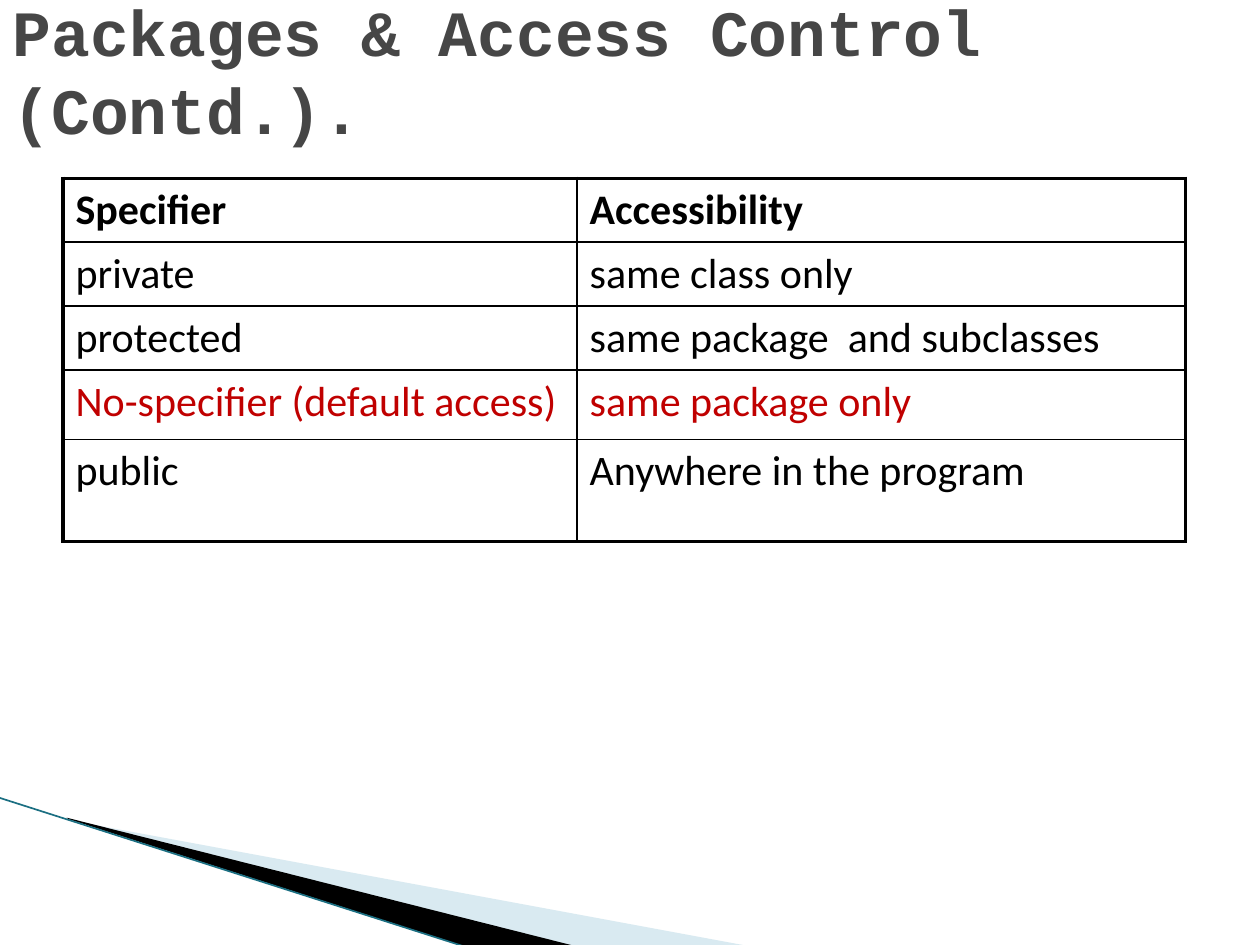
from dataclasses import dataclass

from lxml import etree
from pptx import Presentation
from pptx import util as u
from pptx.dml.color import RGBColor
from pptx.enum import shapes, text
from pptx.oxml.ns import qn


@dataclass(frozen=True)
class Theme:
    title_font: str = "Courier New"
    body_font: str = "Calibri"
    title_size: float = 36.9
    body_size: float = 24
    title_color: str = "464646"
    ink: str = "000000"
    highlight: str = "C00000"
    pale_wedge: str = "A0CBDC"
    edge: str = "1B6F82"
    thick: float = 2.25
    thin: float = 1


THEME = Theme()
HEADERS = ("Specifier", "Accessibility")
ACCESS_RULES = [
    ("private", "same class only"),
    ("protected", "same package  and subclasses"),
    ("No-specifier (default access)", "same package only"),
    ("public", "Anywhere in the program"),
]
HIGHLIGHTED_ROW = 3
COLUMN_WIDTHS = (4.08, 4.83)
ROW_HEIGHTS = (0.5, 0.5, 0.5, 0.55, 0.81)


def style_font(font, name, size, color, bold=False):
    font.name = name
    font.size = u.Pt(size)
    font.bold = bold
    font.color.rgb = RGBColor.from_string(color)


def add_wedge(slide, points, color, opacity=None):
    builder = slide.shapes.build_freeform(*points[0])
    builder.add_line_segments(points[1:], close=True)
    shape = builder.convert_to_shape()
    shape.shadow.inherit = False
    shape.line.fill.background()
    shape.fill.solid()
    shape.fill.fore_color.rgb = RGBColor.from_string(color)
    if opacity is not None:
        color_element = shape.fill._xPr.find(qn("a:solidFill"))[0]
        etree.SubElement(color_element, qn("a:alpha"), val=str(opacity * 1000))


def add_corner_decoration(slide, left, top):
    """Two wedges and an edge line fanning out from the left side."""
    def place(*offsets):
        return [(u.Inches(left + x), u.Inches(top + y)) for x, y in offsets]

    add_wedge(slide, place((0.55, 0.18), (5.95, 1.18), (4.56, 1.18), (0.55, 0.17)),
              THEME.pale_wedge, opacity=40)
    add_wedge(slide, place((0.53, 0.16), (4.57, 1.18), (3.72, 1.19), (0.54, 0.17)),
              THEME.ink)
    start, end = place((-0.01, 0), (3.71, 1.19))
    edge = slide.shapes.add_connector(shapes.MSO_CONNECTOR.STRAIGHT, *start, *end)
    edge.line.color.rgb = RGBColor.from_string(THEME.edge)
    edge.line.width = u.Pt(0.95)
    etree.SubElement(edge._element.spPr, qn("a:effectLst"))


def set_borders(cell, widths):
    properties = cell._tc.get_or_add_tcPr()
    for side, width in widths.items():
        line = etree.SubElement(properties, qn(f"a:ln{side}"), w=str(u.Pt(width)))
        fill = etree.SubElement(line, qn("a:solidFill"))
        etree.SubElement(fill, qn("a:srgbClr"), val=THEME.ink)


def add_access_table(slide, left, top):
    rows = [HEADERS, *ACCESS_RULES]
    last_row, last_column = len(rows) - 1, len(HEADERS) - 1
    table = slide.shapes.add_table(
        len(rows), len(HEADERS), u.Inches(left), u.Inches(top),
        u.Inches(sum(COLUMN_WIDTHS)), u.Inches(sum(ROW_HEIGHTS))).table
    table.first_row = table.horz_banding = False
    for column, width in zip(table.columns, COLUMN_WIDTHS):
        column.width = u.Inches(width)

    for i, values in enumerate(rows):
        table.rows[i].height = u.Inches(ROW_HEIGHTS[i])
        color = THEME.highlight if i == HIGHLIGHTED_ROW else THEME.ink
        for j, value in enumerate(values):
            cell = table.cell(i, j)
            cell.text = value
            style_font(cell.text_frame.paragraphs[0].font, THEME.body_font,
                       THEME.body_size, color, bold=i == 0)
            # Thick lines only around the outside of the table
            outer = {"L": j == 0, "R": j == last_column,
                     "T": i == 0, "B": i == last_row}
            set_borders(cell, {side: THEME.thick if is_outer else THEME.thin
                               for side, is_outer in outer.items()})
            cell.fill.background()


def place_title(slide, wording, left, top, width, height):
    title = slide.shapes.title
    title.left, title.top = u.Inches(left), u.Inches(top)
    title.width, title.height = u.Inches(width), u.Inches(height)
    frame = title.text_frame
    frame.text = wording
    frame.word_wrap = True
    frame.auto_size = text.MSO_AUTO_SIZE.NONE
    frame.vertical_anchor = text.MSO_ANCHOR.MIDDLE
    paragraph = frame.paragraphs[0]
    paragraph.alignment = text.PP_ALIGN.LEFT
    style_font(paragraph.font, THEME.title_font, THEME.title_size,
               THEME.title_color, bold=True)


def main():
    presentation = Presentation()
    presentation.slide_width = u.Inches(10)
    presentation.slide_height = u.Inches(7.5)
    slide = presentation.slides.add_slide(presentation.slide_layouts[5])
    add_corner_decoration(slide, 0, 6.33)
    add_access_table(slide, 0.5, 1.415)
    place_title(slide, "Packages & Access Control (Contd.).", 0, 0.25, 8.27, 0.61)
    presentation.save("out.pptx")


if __name__ == "__main__":
    main()
